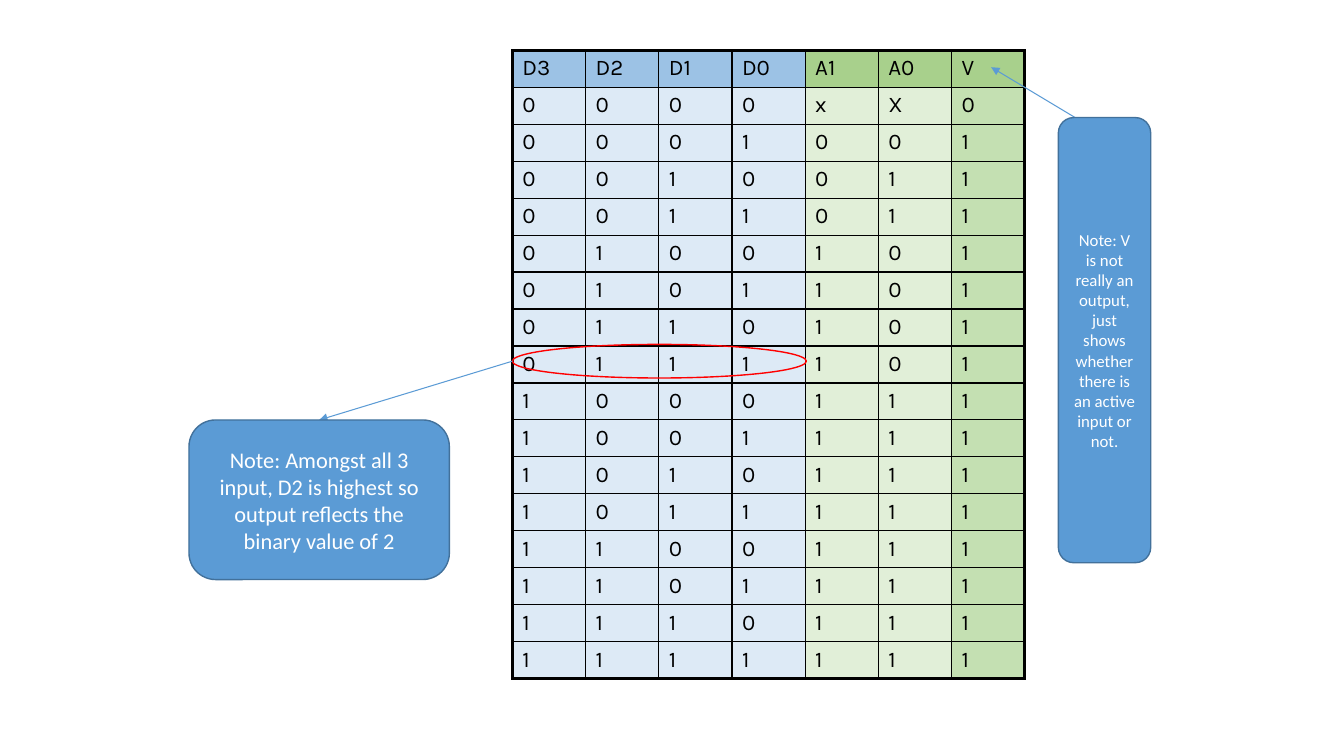
from lxml.etree import SubElement
from pptx import Presentation
from pptx.dml.color import RGBColor
from pptx.enum.shapes import MSO_CONNECTOR, MSO_SHAPE
from pptx.enum.text import MSO_ANCHOR, PP_ALIGN
from pptx.oxml.ns import qn
from pptx.util import Pt

COLORS = {
    "input_head": "9CC2E5", "output_head": "A8D08C", "input": "DDEAF6",
    "output": "E1EFD8", "valid": "C4E0B2", "ink": "000000", "ring": "FF0000",
    "note": "5B9BD5", "note_edge": "42719B", "note_text": "FFFFFF",
}
HEADINGS = ["D3", "D2", "D1", "D0", "A1", "A0", "V"]
INPUTS = 4


def color(name):
    """Return the named colour."""
    return RGBColor.from_string(COLORS[name])


def add_span(para, text, font, size, ink):
    """Add one formatted run to a paragraph."""
    span = para.add_run()
    span.text = text
    span.font.name = font
    span.font.size = Pt(size)
    span.font.color.rgb = color(ink)


def encoder_rows():
    """Return the priority encoder's truth table, one list per input value."""
    rows = [list("0000xX0")]
    for value in range(1, 2 ** INPUTS):
        highest = value.bit_length() - 1
        rows.append(list(f"{value:04b}{highest:02b}1"))
    return rows


def cell_fill(row, column):
    """Name the fill colour of a table cell."""
    if row == 0:
        return "input_head" if column < INPUTS else "output_head"
    if column < INPUTS:
        return "input"
    return "valid" if HEADINGS[column] == "V" else "output"


def set_borders(cell, outer_sides):
    """Draw the four cell borders, heavier on the table's outer sides."""
    properties = cell._tc.get_or_add_tcPr()
    for side in "LRTB":
        width = Pt(2.25 if side in outer_sides else 1)
        line = SubElement(properties, qn(f"a:ln{side}"), w=str(width))
        fill = SubElement(line, qn("a:solidFill"))
        SubElement(fill, qn("a:srgbClr"), val=COLORS["ink"])


def add_truth_table(page, left, top, width, height):
    """Place the truth table in the given box."""
    rows = [HEADINGS] + encoder_rows()
    last_row, last_column = len(rows) - 1, len(HEADINGS) - 1
    table = page.shapes.add_table(len(rows), len(HEADINGS), Pt(left), Pt(top),
                                  Pt(width), Pt(height)).table
    for column in table.columns:
        column.width = Pt(width / len(HEADINGS))
    for r, values in enumerate(rows):
        table.rows[r].height = Pt(height / len(rows))
        for c, value in enumerate(values):
            cell = table.cell(r, c)
            edges = {"L": c == 0, "R": c == last_column,
                     "T": r == 0, "B": r == last_row}
            set_borders(cell, [side for side in edges if edges[side]])
            cell.fill.solid()
            cell.fill.fore_color.rgb = color(cell_fill(r, c))
            add_span(cell.text_frame.paragraphs[0], value, "Karla", 16, "ink")


def add_ring(page, left, top, width, height):
    """Circle the inputs of one table row."""
    ring = page.shapes.add_shape(MSO_SHAPE.OVAL, Pt(left), Pt(top), Pt(width), Pt(height))
    ring.shadow.inherit = False
    ring.fill.background()
    ring.line.color.rgb = color("ring")
    ring.line.width = Pt(1)


def add_arrow(page, start, end):
    """Draw an arrow from start to end."""
    arrow = page.shapes.add_connector(MSO_CONNECTOR.STRAIGHT,
                                      *(Pt(value) for value in start + end))
    arrow.line.color.rgb = color("note")
    arrow.line.width = Pt(0.75)
    SubElement(arrow.line._get_or_add_ln(), qn("a:tailEnd"), type="triangle")
    SubElement(arrow._element.spPr, qn("a:effectLst"))


def add_note(page, left, top, width, height, text, size):
    """Place a rounded note with centred text in the given box."""
    box = page.shapes.add_shape(MSO_SHAPE.ROUNDED_RECTANGLE, Pt(left), Pt(top),
                                Pt(width), Pt(height))
    box.shadow.inherit = False
    box.fill.solid()
    box.fill.fore_color.rgb = color("note")
    box.line.color.rgb = color("note_edge")
    box.line.width = Pt(1)
    frame = box.text_frame
    frame.word_wrap = True
    frame.vertical_anchor = MSO_ANCHOR.MIDDLE
    para = frame.paragraphs[0]
    para.alignment = PP_ALIGN.CENTER
    add_span(para, text, "Calibri", size, "note_text")


def main():
    """Build and save the slide."""
    deck = Presentation()
    deck.slide_width, deck.slide_height = Pt(960), Pt(540)
    page = deck.slides.add_slide(deck.slide_layouts[6])
    add_truth_table(page, 366, 36, 366, 448.8)
    add_ring(page, 366, 246, 210, 24)
    add_arrow(page, (366, 258), (228, 300))
    add_note(page, 135, 300, 186, 114,
             "Note: Amongst all 3 input, D2 is highest so output reflects "
             "the binary value of 2", 16)
    add_arrow(page, (768, 84), (708, 48))
    add_note(page, 756, 84, 66, 318,
             "Note: V is not really an output, just shows whether there is "
             "an active input or not.", 12)
    deck.save("out.pptx")


if __name__ == "__main__":
    main()
